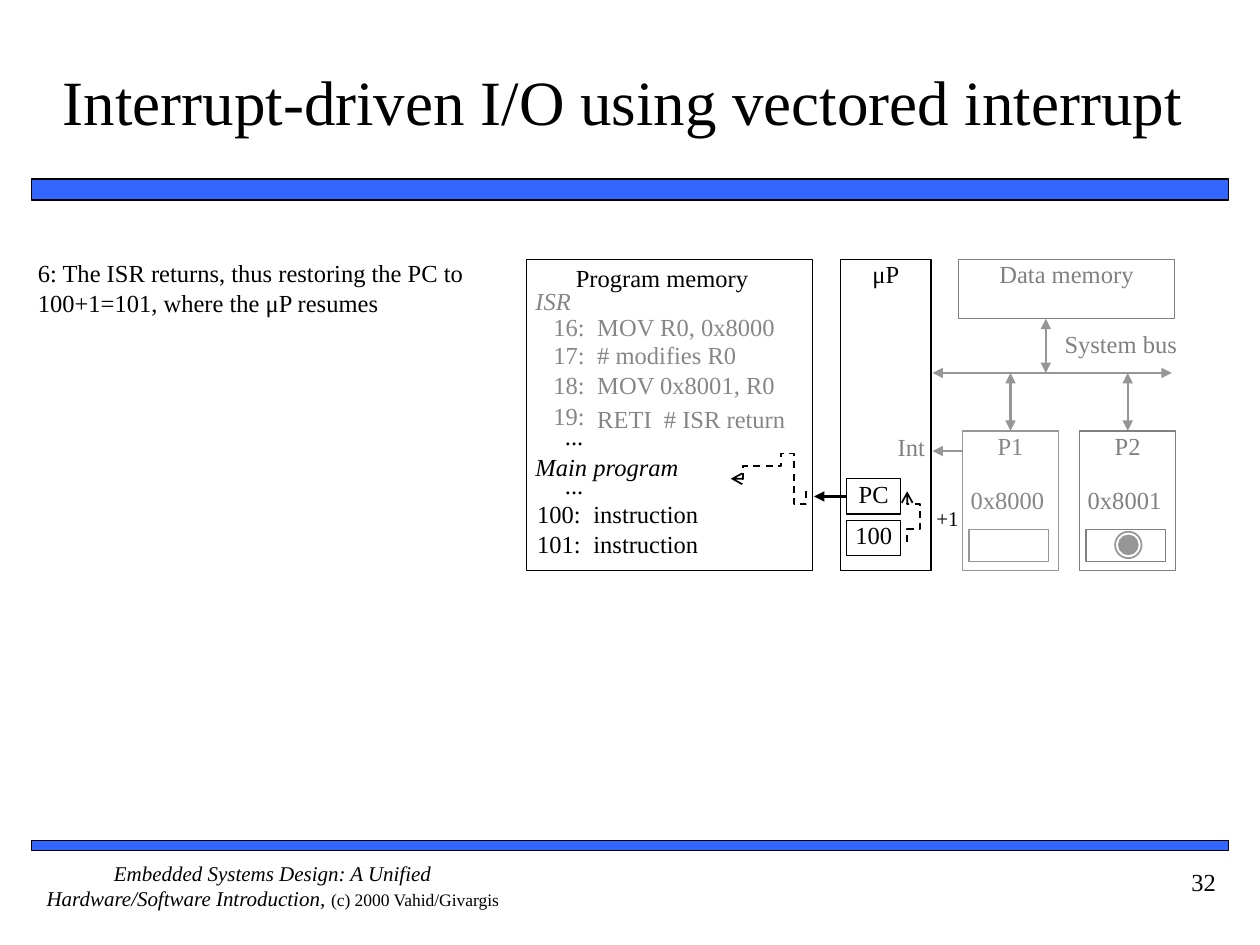
import dataclasses

import lxml.etree
import pptx
import pptx.dml.color
import pptx.enum.dml
import pptx.enum.shapes
import pptx.enum.text
import pptx.oxml.ns
import pptx.util

COLORS = {"black": "000000", "white": "FFFFFF", "blue": "3366FF",
          "line": "969696", "edge": "808080", "faded": "868686"}
FONT = "Times New Roman"
COLUMNS, ROWS = 100, 75
CELL = pptx.util.Inches(0.1)
ALIGN = pptx.enum.text.PP_ALIGN
SHAPE = pptx.enum.shapes.MSO_SHAPE


@dataclasses.dataclass
class Box:
    """A region of the slide, measured in grid columns and rows."""
    x: float
    y: float
    w: float
    h: float

    def area(self, x, y, w, h):
        return Box(self.x + x, self.y + y, w, h)

    def point(self, x, y):
        return self.x + x, self.y + y

    def emu(self):
        return [round(n * CELL) for n in (self.x, self.y, self.w, self.h)]


def rgb(name):
    return pptx.dml.color.RGBColor.from_string(COLORS[name])


def format_run(run, size, color, italic=False):
    run.font.name, run.font.size = FONT, pptx.util.Pt(size)
    run.font.italic = italic
    run.font.color.rgb = rgb(color)


def write(shape, text, color="black", align=ALIGN.CENTER, size=14, italic=False,
          anchor=pptx.enum.text.MSO_ANCHOR.TOP):
    frame = shape.text_frame
    frame.text = text
    frame.word_wrap = True
    frame.vertical_anchor = anchor
    frame.margin_left = frame.margin_right = 0
    frame.margin_top = frame.margin_bottom = 0
    frame.paragraphs[0].alignment = align
    format_run(frame.paragraphs[0].runs[0], size, color, italic)


def add_label(slide, box, text, color="black", align=ALIGN.LEFT, size=14, italic=False):
    label = slide.shapes.add_textbox(*box.emu())
    write(label, text, color, align, size, italic)
    return label


def add_block(slide, box, fill="white", line="black", width=0.75, kind=SHAPE.RECTANGLE):
    block = slide.shapes.add_shape(kind, *box.emu())
    block.shadow.inherit = False
    if fill:
        block.fill.solid()
        block.fill.fore_color.rgb = rgb(fill)
    else:
        block.fill.background()
    block.line.color.rgb = rgb(line)
    block.line.width = pptx.util.Pt(width)
    return block


def style_arrow(arrow, color, width, head=None, tail="triangle"):
    arrow.line.color.rgb = rgb(color)
    arrow.line.width = pptx.util.Pt(width)
    for end, kind in (("a:headEnd", head), ("a:tailEnd", tail)):
        if kind:
            lxml.etree.SubElement(arrow.line._get_or_add_ln(),
                                  pptx.oxml.ns.qn(end), type=kind)


def add_arrow(slide, start, end, color="line", width=1.25, both=True):
    arrow = slide.shapes.add_connector(pptx.enum.shapes.MSO_CONNECTOR.STRAIGHT,
                                       *[round(n * CELL) for n in (*start, *end)])
    style_arrow(arrow, color, width, "triangle" if both else None)
    lxml.etree.SubElement(arrow._element.spPr, pptx.oxml.ns.qn("a:effectLst"))
    return arrow


def add_dashed_curve(slide, start, *curves, steps=10):
    """Draw joined cubic Bezier curves, each given as two controls and an end."""
    points, origin = [], start
    for control1, control2, end in curves:
        for step in range(1, steps + 1):
            t = step / steps
            weights = (1 - t) ** 3, 3 * t * (1 - t) ** 2, 3 * t * t * (1 - t), t ** 3
            knots = origin, control1, control2, end
            points.append(tuple(sum(w * k[axis] for w, k in zip(weights, knots))
                                for axis in (0, 1)))
        origin = end
    builder = slide.shapes.build_freeform(*start, scale=CELL)
    builder.add_line_segments(points, close=False)
    curve = builder.convert_to_shape()
    curve.shadow.inherit = False
    curve.fill.background()
    curve.line.dash_style = pptx.enum.dml.MSO_LINE.DASH
    style_arrow(curve, "black", 1, tail="arrow")


def add_heading(slide, box):
    add_block(slide, box.area(0, 12.5, box.w, 1.7), "blue", width=1)
    title = slide.shapes.title
    title.left, title.top, title.width, title.height = box.area(1.7, 0, 91.7, 12.5).emu()
    write(title, "Interrupt-driven I/O using vectored interrupt ", size=36,
          anchor=pptx.enum.text.MSO_ANCHOR.MIDDLE)
    title.text_frame.auto_size = pptx.enum.text.MSO_AUTO_SIZE.NONE


def add_footer(slide, box):
    add_block(slide, box.area(0, 0, box.w, 0.8), "blue", width=1)
    credit = add_label(slide, box.area(0, 1.6, 38.3, 5),
                       "Embedded Systems Design: A Unified Hardware/Software Introduction, ",
                       align=ALIGN.CENTER, size=12, italic=True)
    rights = credit.text_frame.paragraphs[0].add_run()
    rights.text = "(c) 2000 Vahid/Givargis"
    format_run(rights, 10, "black")
    add_label(slide, box.area(box.w - 9, 2.1, 8, 4), "32", align=ALIGN.RIGHT)


def add_program_memory(slide, box):
    add_block(slide, box)
    add_label(slide, box.area(3.9, 0.3, 15.6, 3), "Program memory")
    for heading, top, color in (("ISR", 2.1, "faded"), ("Main program", 15.3, "black")):
        add_label(slide, box.area(0.7, top, 13.3, 3), heading, color, italic=True)
    for top in (12.8, 16.7):
        add_label(slide, box.area(1.5, top, 3, 2.5), "...", align=ALIGN.RIGHT)
    isr = (("16:", "MOV R0, 0x8000", 4.2, 4.2), ("17:", "# modifies R0", 6.4, 6.4),
           ("18:", "MOV 0x8001, R0", 8.8, 8.8), ("19:", "RETI  # ISR return", 11.2, 11.5))
    main_program = (("100:", "instruction", 19, 19), ("101:", "instruction", 21.4, 21.4))
    for listing, color, number_right, code_left in ((isr, "faded", 4.6, 5.6),
                                                    (main_program, "black", 4.3, 5.3)):
        for number, code, number_top, code_top in listing:
            add_label(slide, box.area(number_right - 4.5, number_top, 4.5, 2.5),
                      number, color, ALIGN.RIGHT)
            add_label(slide, box.area(code_left, code_top, 17, 2.5), code, color)
    add_dashed_curve(
        slide, box.point(22.4, 18.7),
        (box.point(21.9, 19.3), box.point(21.4, 19.9), box.point(21.2, 19.4)),
        (box.point(21.1, 18.9), box.point(22.2, 16.1), box.point(21.4, 15.8)),
        (box.point(20.6, 15.4), box.point(18.5, 16.4), box.point(16.4, 17.4)))


def add_processor(slide, box):
    write(add_block(slide, box), "μP")
    add_label(slide, box.area(3.5, 13.7, 3.2, 3), "Int", "edge", ALIGN.RIGHT)
    counter, value = [add_block(slide, box.area(0.5, top, 4.3, 2.8)) for top in (17.4, 20.7)]
    write(counter, "PC")
    write(value, "100")
    fetch = add_arrow(slide, box.point(0.5, 18.8), box.point(-2.1, 18.8), "black", both=False)
    fetch.begin_connect(counter, 1)
    add_dashed_curve(
        slide, box.point(5.3, 22.1),
        (box.point(5.5, 21.9), box.point(6.8, 21.2), box.point(6.7, 20.7)),
        (box.point(6.7, 20.1), box.point(5.5, 19.1), box.point(5.2, 18.7)))
    add_label(slide, box.area(7.1, 19.5, 2.8, 2), "+1", align=ALIGN.CENTER, size=12)


def add_peripheral(slide, box, name, address, edge, color):
    device = add_block(slide, box, line=edge)
    write(device, name, color)
    add_label(slide, box.area(0.3, 4.3, 6.5, 2.8), address, color, ALIGN.CENTER)
    add_block(slide, box.area(0.5, 7.8, 6.3, 2.6), line=edge)
    return device


def add_bus_system(slide, box):
    """Data memory, system bus and the two peripherals that hang from it."""
    memory = add_block(slide, box.area(2.1, 0, 17.1, 4.7), None, "edge")
    write(memory, "Data memory", "edge")
    add_label(slide, box.area(9.9, 5.5, 10.1, 3), "System bus", "edge", ALIGN.CENTER)
    add_arrow(slide, box.point(0, 9), box.point(19, 9))
    add_arrow(slide, box.point(9, 4.7), box.point(9, 9))
    for left, name, address, edge, color in ((2.4, "P1", "0x8000", "line", "faded"),
                                             (11.7, "P2", "0x8001", "edge", "edge")):
        device = add_peripheral(slide, box.area(left, 13.6, 7.6, 11.1),
                                name, address, edge, color)
        link = add_arrow(slide, box.point(left + 3.8, 9), box.point(left + 3.8, 13.6))
        link.end_connect(device, 0)
    for left, top, size, fill in ((14.8, 21.9, 1.5, "line"), (14.5, 21.6, 2.1, None)):
        add_block(slide, box.area(left, top, size, size), fill, "line", 1, SHAPE.OVAL)
    add_arrow(slide, box.point(2.4, 15.2), box.point(0, 15.2), width=0.75, both=False)


def main():
    deck = pptx.Presentation()
    deck.slide_width, deck.slide_height = COLUMNS * CELL, ROWS * CELL
    slide = deck.slides.add_slide(deck.slide_layouts[5])
    add_heading(slide, Box(2.5, 1.7, 95, 14.2))
    add_footer(slide, Box(2.5, 66.7, 95, 6.6))
    add_label(slide, Box(3, 20.5, 34, 4.7),
              "6: The ISR returns, thus restoring the PC to 100+1=101, where the μP resumes")
    add_bus_system(slide, Box(74, 20.6, 19.3, 24.7))
    add_program_memory(slide, Box(41.8, 20.6, 22.7, 24.7))
    add_processor(slide, Box(66.7, 20.6, 7.2, 24.7))
    deck.save("out.pptx")


if __name__ == "__main__":
    main()
